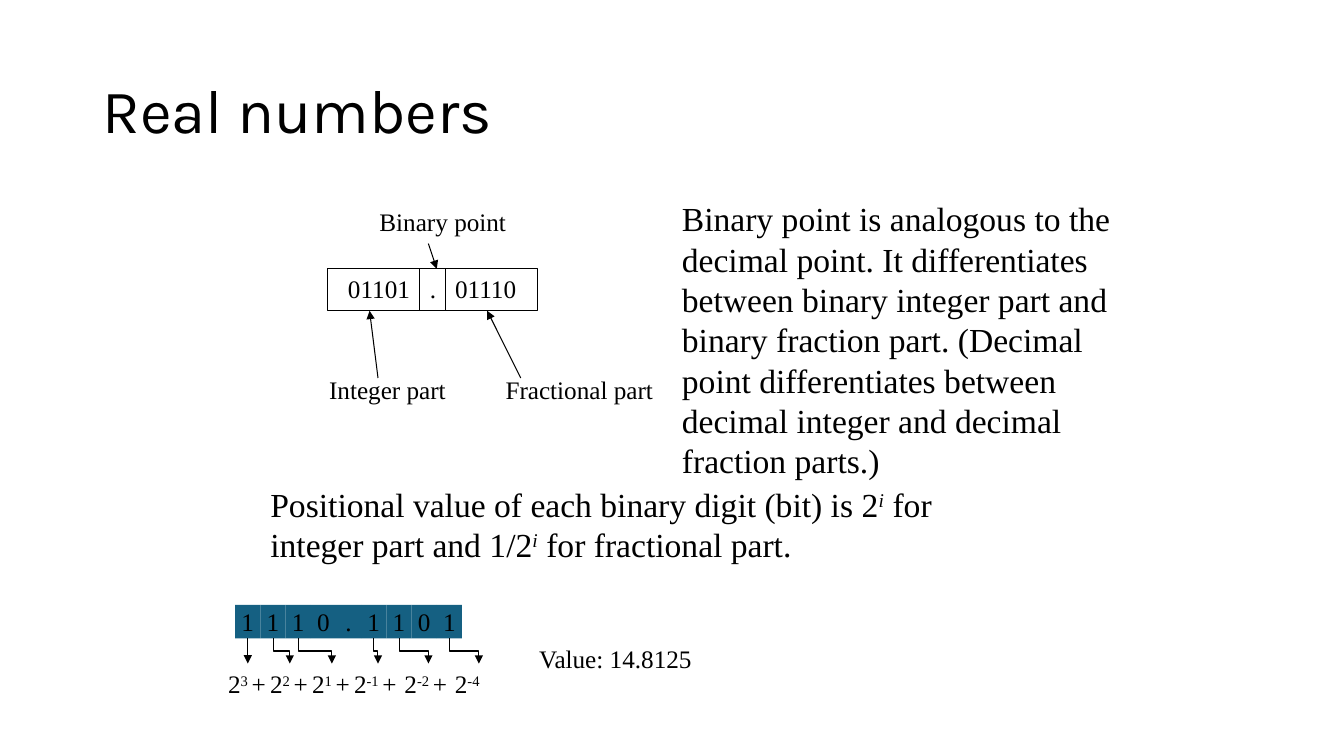
from pptx import Presentation
from pptx.util import Pt
from pptx.dml.color import RGBColor as RGB
from pptx.enum.shapes import MSO_SHAPE as Shape, MSO_CONNECTOR as Conn
from pptx.enum.text import PP_ALIGN as Align, MSO_ANCHOR as Anchor, MSO_AUTO_SIZE as Auto
from pptx.oxml.ns import qn
from lxml.etree import SubElement

HUE = {"ink": "000000", "bit": "156082"}
INK = RGB.from_string(HUE["ink"])

deck = Presentation()
deck.slide_width, deck.slide_height = Pt(960), Pt(540)
slide = deck.slides.add_slide(deck.slide_layouts[5])
shapes = slide.shapes


def write(box, text, size=18, font="Times New Roman", align=Align.LEFT,
          anchor=Anchor.TOP, wrap=True, italic=False):
    """Fill box with text; parts between ^ marks are raised, in italics if asked."""
    frame = box.text_frame
    frame.auto_size = Auto.NONE
    frame.word_wrap = wrap
    frame.vertical_anchor = anchor
    para = frame.paragraphs[0]
    para.alignment = align
    for i, part in enumerate(text.split("^")):
        if not part:
            continue
        run = para.add_run()
        run.text = part
        run.font.name, run.font.size = font, Pt(size)
        run.font.color.rgb = INK
        if i % 2:
            run.font.italic = italic
            run.font._element.set("baseline", "30000")
    return box


def arrow(kind, x1, y1, x2, y2):
    """Draw a thin black line with a head at its end."""
    line = shapes.add_connector(kind, Pt(x1), Pt(y1), Pt(x2), Pt(y2))
    line.line.color.rgb = INK
    line.line.width = Pt(0.75)
    SubElement(line.line._get_or_add_ln(), qn("a:tailEnd"), type="triangle")
    SubElement(line._element.spPr, qn("a:effectLst"))
    return line


# Title
title = shapes.title
title.left, title.top, title.width, title.height = Pt(66), Pt(28.75), Pt(828), Pt(104.4)
write(title, "Real numbers", size=44, font="Karla", anchor=Anchor.MIDDLE)
title.text_frame.paragraphs[0].line_spacing = 0.9

# Number split at the binary point
x = 234
for text, wide, align in [("01101", 66, Align.RIGHT), (".", 18, Align.LEFT),
                          ("01110", 66, Align.LEFT)]:
    cell = shapes.add_shape(Shape.RECTANGLE, Pt(x), Pt(192), Pt(wide), Pt(29.8))
    cell.shadow.inherit = False
    cell.fill.background()
    cell.line.color.rgb = INK
    cell.line.width = Pt(0.75)
    write(cell, text, align=align)
    x += wide

for ends in [(270, 270, 264, 222), (372, 270, 348, 222), (306, 174, 312, 192)]:
    arrow(Conn.STRAIGHT, *ends)

# Labels and explanations
for text, x, y, wide, high, size in [
    ("Integer part", 228, 264, 108, 28.8, 18),
    ("Fractional part", 354, 264, 126, 28.8, 18),
    ("Binary point", 264, 144, 108, 28.8, 18),
    ("Binary point is analogous to the decimal point. It differentiates between "
     "binary integer part and binary fraction part. (Decimal point differentiates "
     "between decimal integer and decimal fraction parts.)", 480, 138, 336, 211, 24),
    ("Positional value of each binary digit (bit) is 2^i^ for integer part and "
     "1/2^i^ for fractional part.", 186, 342, 558, 65.5, 24),
    ("Value: 14.8125", 378, 456, 270, 28.8, 18),
]:
    box = shapes.add_textbox(Pt(x), Pt(y), Pt(wide), Pt(high))
    write(box, text, size=size, italic=True)

# Row of bits
bits = []
for i, digit in enumerate("1110.1101"):
    bit = shapes.add_shape(Shape.RECTANGLE, Pt(168 + 18 * i), Pt(432), Pt(18), Pt(24))
    bit.shadow.inherit = False
    bit.fill.solid()
    bit.fill.fore_color.rgb = RGB.from_string(HUE["bit"])
    bit.line.fill.background()
    write(bit, digit, align=Align.CENTER, anchor=Anchor.MIDDLE, wrap=False)
    bits.append(bit)

# Power of two under each set bit, with an arrow down to it
x = 162
for text, i, wide in [("2^3 ^+", 0, 30), ("2^2 ^+", 1, 30), ("2^1 ^+", 2, 30),
                      ("2^-1 ^+", 5, 36), ("2^-2 ^+", 6, 36), ("2^-4^", 8, 36)]:
    term = shapes.add_textbox(Pt(x), Pt(474), Pt(wide), Pt(28.8))
    term.text_frame.margin_left = term.text_frame.margin_right = Pt(0.9)
    write(term, text)
    start, end = 177 + 18 * i, x + wide / 2
    if start == end:
        link = arrow(Conn.STRAIGHT, start, 456, end, 474)
        link.begin_connect(bits[i], 2)
        link.end_connect(term, 0)
    else:
        # Laid flat about its centre, then turned to run down, across, down
        mid, half = (start + end) / 2, (end - start) / 2
        link = arrow(Conn.ELBOW, mid + 9, 465 - half, mid - 9, 465 + half)
        link._element.spPr.find(qn("a:xfrm")).set("rot", "16200000")
    x += wide

deck.save("out.pptx")
